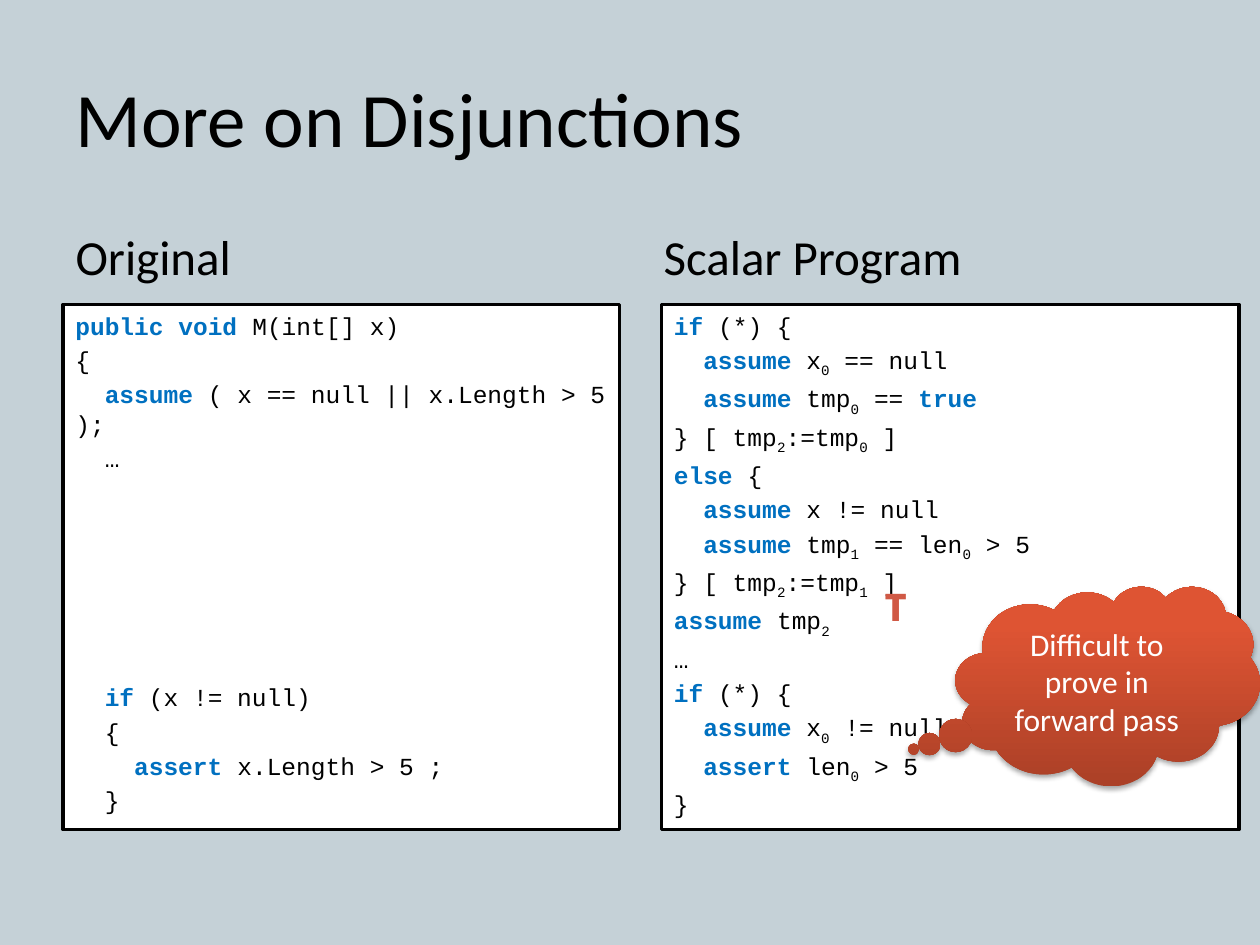
from dataclasses import dataclass

from lxml.etree import SubElement
from pptx import Presentation
from pptx.dml.color import RGBColor
from pptx.enum.shapes import MSO_SHAPE
from pptx.enum.text import MSO_ANCHOR, MSO_AUTO_SIZE, PP_ALIGN
from pptx.oxml.ns import qn
from pptx.util import Pt


@dataclass(frozen=True)
class Theme:
    back: str = "C5D1D7"
    ink: str = "000000"
    paper: str = "FFFFFF"
    keyword: str = "0070C0"
    accent: str = "D05945"
    cloud_dark: str = "AB4027"
    cloud_light: str = "DE5433"
    font: str = "Calibri"
    mono: str = "Courier New"
    title: int = 44
    heading: int = 28
    symbol: int = 32
    note: int = 18
    code: int = 14


THEME = Theme()
CODE_INDENT = 8.4  # width of one monospaced character
CODE_GAP = 2.8     # space above a line of code


def rgb(value):
    return RGBColor.from_string(value)


def add_text(p, text, font=THEME.font, size=THEME.code, color=THEME.ink,
             bold=False, sub=False):
    r = p.add_run()
    r.text = text
    r.font.name, r.font.size, r.font.bold = font, Pt(size), bold
    r.font.color.rgb = rgb(color)
    if sub:
        r.font._element.set("baseline", "-25000")
    return r


class SlideBuilder:
    def __init__(self, prs, theme):
        self.theme = theme
        self.s = prs.slides.add_slide(prs.slide_layouts[3])
        fill = self.s.background.fill
        fill.solid()
        fill.fore_color.rgb = rgb(theme.back)

    def placeholder(self, idx, text, box, size):
        sp = self.s.placeholders[idx]
        sp.left, sp.top, sp.width, sp.height = map(Pt, box)
        p = sp.text_frame.paragraphs[0]
        p.alignment = PP_ALIGN.LEFT
        add_text(p, text, size=size)
        return p

    def title(self, text, box):
        self.placeholder(0, text, box, self.theme.title)

    def heading(self, idx, text, box):
        p = self.placeholder(idx, text, box, self.theme.heading)
        p.space_before = Pt(5.6)
        pPr = p._p.get_or_add_pPr()
        pPr.set("marL", "0")
        pPr.set("indent", "0")
        SubElement(pPr, qn("a:buNone"))

    def shape(self, kind, box):
        sp = self.s.shapes.add_shape(kind, *map(Pt, box))
        sp.shadow.inherit = False
        sp.text_frame.word_wrap = True
        return sp

    def code(self, lines, box):
        """Lines are (depth, text[, gap]); `x` is a keyword, ~x~ a subscript."""
        sp = self.shape(MSO_SHAPE.RECTANGLE, box)
        sp.fill.solid()
        sp.fill.fore_color.rgb = rgb(self.theme.paper)
        sp.line.color.rgb = rgb(self.theme.ink)
        sp.line.width = Pt(2)
        tf = sp.text_frame
        tf.vertical_anchor = MSO_ANCHOR.TOP
        for i, (depth, text, *gap) in enumerate(lines):
            p = tf.add_paragraph() if i else tf.paragraphs[0]
            p.alignment = PP_ALIGN.LEFT
            p.space_before = Pt(gap[0] if gap else CODE_GAP)
            p._p.get_or_add_pPr().set("indent", str(Pt(depth * CODE_INDENT)))
            self.code_line(p, text)

    def code_line(self, p, text):
        for i, part in enumerate(text.split("`")):
            key = i % 2 == 1
            for j, piece in enumerate(part.split("~")):
                if piece:
                    add_text(p, piece, font=self.theme.mono, bold=key, sub=j % 2 == 1,
                             color=self.theme.keyword if key else self.theme.ink)

    def cloud(self, text, box, tail):
        sp = self.shape(MSO_SHAPE.CLOUD_CALLOUT, box)
        sp.adjustments[0], sp.adjustments[1] = tail
        sp.line.fill.background()
        sp.fill.gradient()
        sp.fill.gradient_angle = 90
        stops = ((0, self.theme.cloud_dark), (0.8, self.theme.cloud_light))
        for stop, (position, color) in zip(sp.fill.gradient_stops, stops):
            stop.position = position
            stop.color.rgb = rgb(color)
        # Soft shadow straight below
        effects = sp._element.spPr.find(qn("a:effectLst"))
        shadow = SubElement(effects, qn("a:outerShdw"), blurRad=str(Pt(3.1)),
                            dist=str(Pt(1.8)), dir="5400000", rotWithShape="0")
        color = SubElement(shadow, qn("a:srgbClr"), val=self.theme.ink)
        SubElement(color, qn("a:alpha"), val="35000")
        tf = sp.text_frame
        tf.vertical_anchor = MSO_ANCHOR.MIDDLE
        p = tf.paragraphs[0]
        p.alignment = PP_ALIGN.CENTER
        add_text(p, text, size=self.theme.note, color=self.theme.paper)

    def symbol(self, text, box):
        tf = self.s.shapes.add_textbox(*map(Pt, box)).text_frame
        tf.word_wrap = False
        tf.auto_size = MSO_AUTO_SIZE.SHAPE_TO_FIT_TEXT
        add_text(tf.paragraphs[0], text, size=self.theme.symbol,
                 color=self.theme.accent, bold=True)


ORIGINAL = [
    (0, "`public void `M(int[] x)"),
    (0, "{"),
    (2, "`assume` ( x == null || x.Length > 5 );"),
    (2, "…"),
    (2, "`if` (x != null)", 120),  # room for the omitted code
    (2, "{"),
    (4, "`assert `x.Length > 5 ;"),
    (2, "}"),
]

SCALAR = [
    (0, "`if `(*) {"),
    (2, "`assume` x~0~ == null"),
    (2, "`assume `tmp~0~ == `true`"),
    (0, "} [ tmp~2~:=tmp~0~ ]"),
    (0, "`else `{"),
    (2, "`assume `x != null"),
    (2, "`assume `tmp~1~ == len~0~ > 5"),
    (0, "} [ tmp~2~:=tmp~1~ ]"),
    (0, "`assume `tmp~2~"),
    (0, "…"),
    (0, "`if` (*) {"),
    (2, "`assume `x~0~ != null"),
    (2, "`assert `len~0~ > 5"),
    (0, "}"),
]


def main():
    prs = Presentation()
    prs.slide_width, prs.slide_height = Pt(720), Pt(540)
    b = SlideBuilder(prs, THEME)

    # Title and column headings
    b.title("More on Disjunctions", (36, 21.6, 648, 90))
    b.heading(1, "Original", (36, 126, 318, 356.4))
    b.heading(2, "Scalar Program", (372, 126, 318, 356.4))

    # Code columns
    b.code(ORIGINAL, (36, 174, 318, 300))
    b.code(SCALAR, (378, 174, 330, 300))

    # Remark on the proof
    b.cloud("Difficult to prove in forward pass", (546, 335, 174, 114), (-0.637, 0.317))
    b.symbol("ᴛ", (498.2, 319.7, 28, 46))

    prs.save("out.pptx")


if __name__ == "__main__":
    main()
